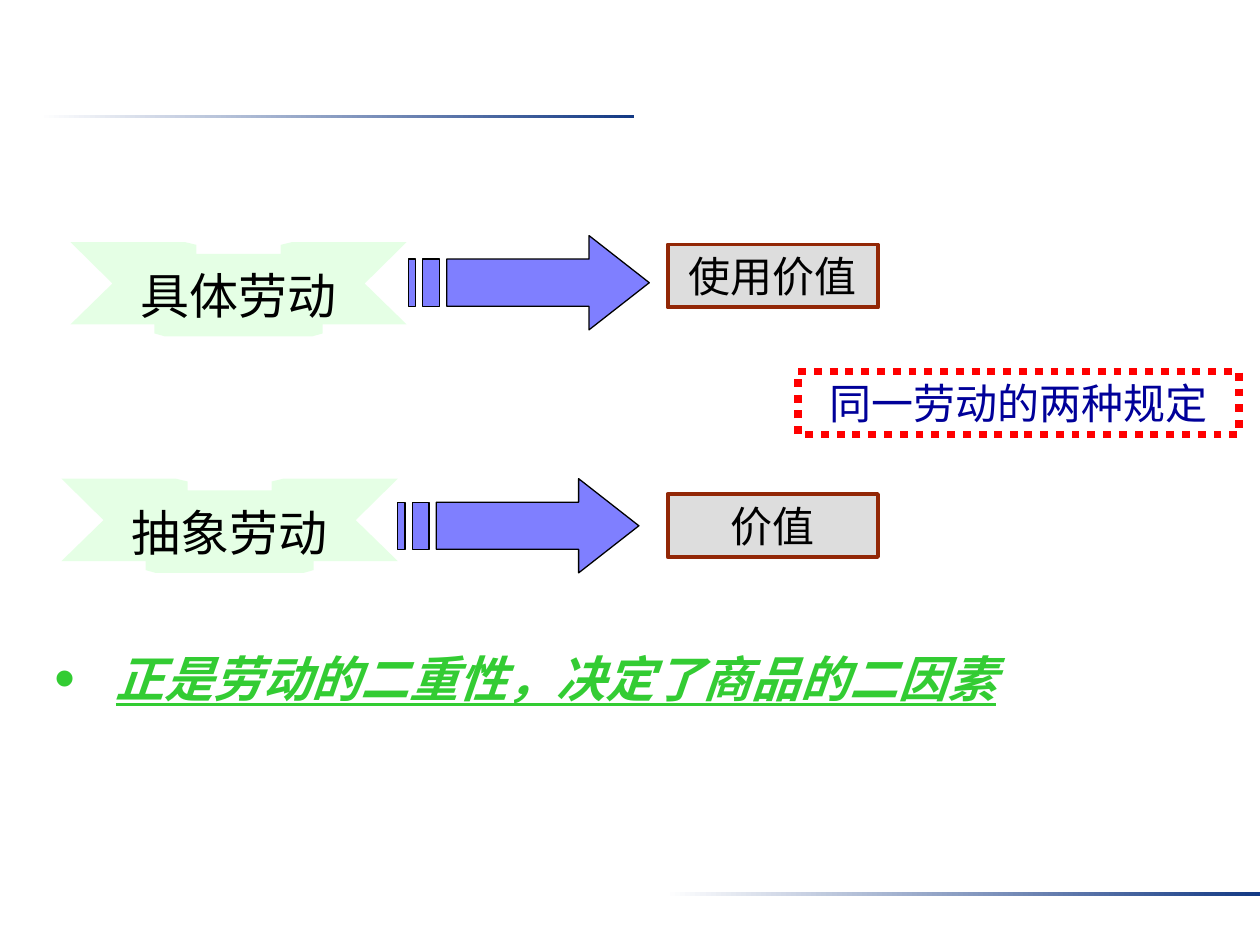
from lxml import etree
from pptx import Presentation
from pptx.dml.color import RGBColor
from pptx.enum.dml import MSO_LINE
from pptx.enum.shapes import MSO_SHAPE
from pptx.enum.text import MSO_ANCHOR, PP_ALIGN
from pptx.oxml.ns import qn
from pptx.util import Cm, Pt

RECT = MSO_SHAPE.RECTANGLE
DOTS = MSO_LINE.ROUND_DOT
MIDDLE = MSO_ANCHOR.MIDDLE
CENTER = PP_ALIGN.CENTER

RIBBON = [[
    (0, 0), (.34, 0), (.375, .03), (.375, .125), (.625, .125), (.625, .03),
    (.66, 0), (1, 0), (.875, .44), (1, .875), (.75, .875), (.75, .97),
    (.72, 1), (.28, 1), (.25, .97), (.25, .875), (0, .875), (.125, .44),
]]
ARROW = [
    [(.75, 0), (.75, .25), (.16, .25), (.16, .75), (.75, .75), (.75, 1), (1, .5)],
    [(.06, .25), (.06, .75), (.13, .75), (.13, .25)],
    [(0, .25), (0, .75), (.03, .75), (.03, .25)],
]


def color(value):
    return RGBColor.from_string(value)


def paint(shape, fill=None, line=None, width=0, alpha=None):
    shape.shadow.inherit = False
    if fill:
        shape.fill.solid()
        shape.fill.fore_color.rgb = color(fill)
    else:
        shape.fill.background()
    if alpha:
        tint = shape.fill._xPr.find(qn("a:solidFill"))[0]
        etree.SubElement(tint, qn("a:alpha")).set("val", str(alpha * 1000))
    if line:
        shape.line.color.rgb = color(line)
        shape.line.width = Pt(width)
    else:
        shape.line.fill.background()


def write(shape, text, size, name, ink):
    frame = shape.text_frame
    frame.text = text
    frame.vertical_anchor = MIDDLE
    para = frame.paragraphs[0]
    para.alignment = CENTER
    font = para.runs[0].font
    font.size, font.name, font.color.rgb = Pt(size), name, color(ink)


def outline(slide, box, loops):
    left, top, width, height = box
    build = None
    for loop in loops:
        pts = [(Cm(left + x * width), Cm(top + y * height)) for x, y in loop]
        if build:
            build.move_to(*pts[0])
        else:
            build = slide.shapes.build_freeform(*pts[0])
        build.add_line_segments(pts[1:], close=True)
    return build.convert_to_shape()


def add_rule(slide, left, top):
    bar = slide.shapes.add_shape(RECT, Cm(left), Cm(top), Cm(11.99), Cm(0.08))
    paint(bar)
    bar.fill.gradient()
    bar.fill.gradient_angle = 0
    for stop, place, tone in zip(bar.fill.gradient_stops, (0, 1), ("FFFFFF", "133984")):
        stop.position = place
        stop.color.rgb = color(tone)


def add_ribbon(slide, left, top, text):
    height = 1.9
    ribbon = outline(slide, (left, top, 6.78, height), RIBBON)
    paint(ribbon, "CCFFCC", alpha=50)
    write(ribbon, text, 28, "Cambria", "000000")
    ribbon.text_frame.word_wrap = False
    ribbon.text_frame.margin_top = Cm(0.13 + height / 8)


def add_arrow(slide, left, top):
    arrow = outline(slide, (left, top, 4.86, 1.9), ARROW)
    paint(arrow, "0000FF", "000000", 0.75, alpha=50)


def add_box(slide, left, top, width, text, name, ink, fill, line, weight):
    box = slide.shapes.add_shape(RECT, Cm(left), Cm(top), Cm(width), Cm(1.27))
    paint(box, fill, line, weight)
    write(box, text, 24, name, ink)
    return box


def add_point(slide, left, top, width, height, text):
    green = "33CC33"
    body = slide.placeholders[1]
    body.left, body.top, body.width, body.height = map(Cm, (left, top, width, height))
    frame = body.text_frame
    frame.text = text
    frame.vertical_anchor = MIDDLE
    para = frame.paragraphs[0]
    para.space_before = Pt(0)
    props = para._p.get_or_add_pPr()
    props.set("marL", str(Cm(1.24)))
    props.set("indent", str(Cm(-1.24)))
    tint = etree.SubElement(props, qn("a:buClr"))
    etree.SubElement(tint, qn("a:srgbClr")).set("val", green)
    etree.SubElement(props, qn("a:buSzPct")).set("val", "120000")
    etree.SubElement(props, qn("a:buChar")).set("char", "•")
    font = para.runs[0].font
    font.size, font.name, font.color.rgb = Pt(28), "Arial", color(green)
    font.bold = font.italic = font.underline = True


def main():
    deck = Presentation()
    deck.slide_width, deck.slide_height = Cm(25.4), Cm(19.05)
    slide = deck.slides.add_slide(deck.slide_layouts[1])
    title = slide.shapes.title._element
    title.getparent().remove(title)

    add_rule(slide, 0.79, 2.31)
    add_rule(slide, 13.41, 17.98)
    add_point(slide, 0.84, 12.65, 22.86, 2.03, "正是劳动的二重性，决定了商品的二因素")

    rows = [
        ("具体劳动", 1.42, 4.88, 8.23, 4.75, "使用价值", 4.93),
        ("抽象劳动", 1.24, 9.65, 8.02, 9.65, "价值", 9.96),
    ]
    for labor, left, top, start, level, value, high in rows:
        add_ribbon(slide, left, top, labor)
        add_arrow(slide, start, level)
        add_box(slide, 13.46, high, 4.24, value, "Arial", "000000",
                "DDDDDD", "922706", 2.25)
    note = add_box(slide, 16.08, 7.49, 8.89, "同一劳动的两种规定", "Cambria", "000099",
                   None, "FF0000", 4.5)
    note.line.dash_style = DOTS
    deck.save("out.pptx")


if __name__ == "__main__":
    main()
